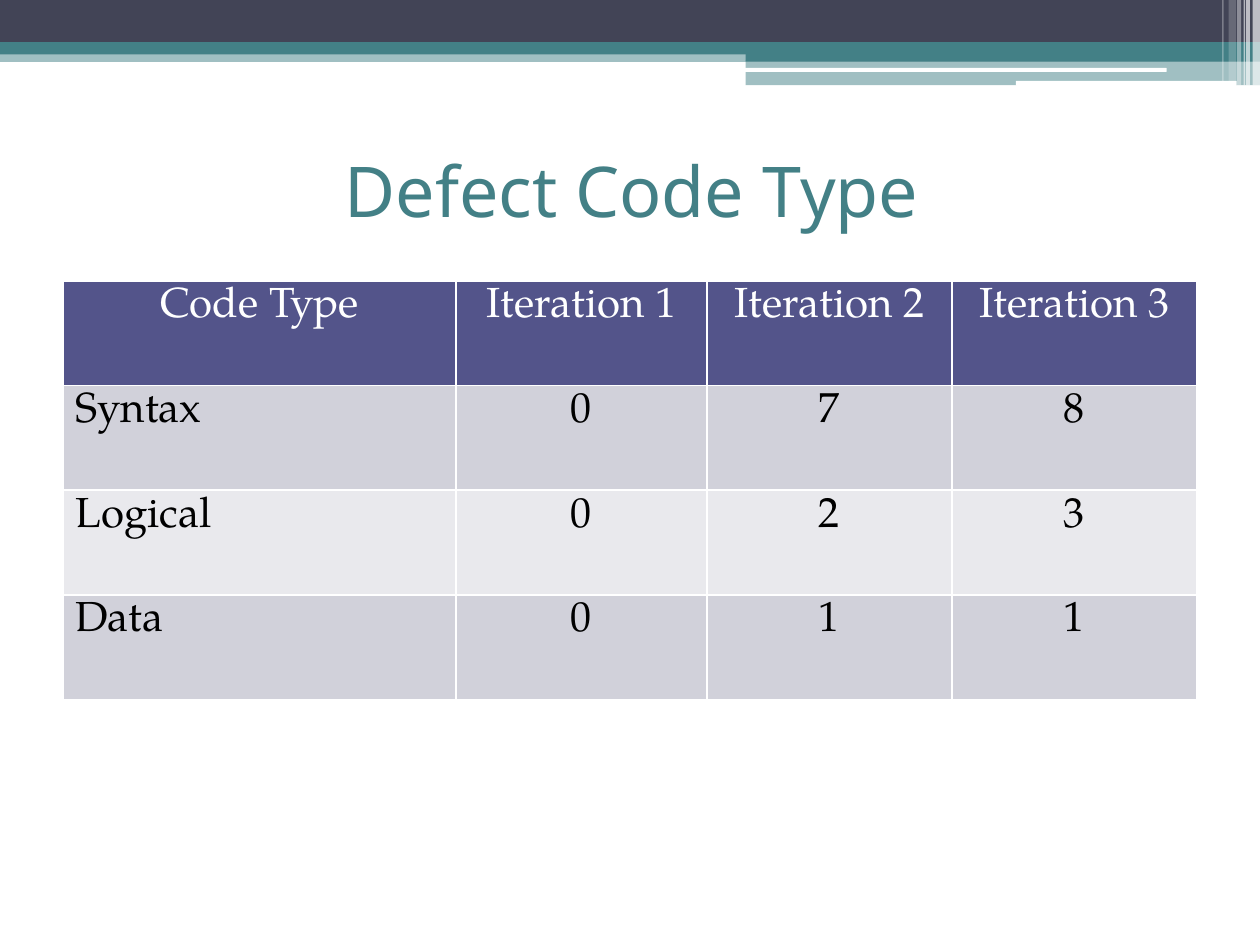
from lxml.etree import SubElement
from pptx import Presentation
from pptx.dml.color import RGBColor as RGB
from pptx.enum.shapes import MSO_SHAPE as Shape
from pptx.enum.text import MSO_ANCHOR as Anchor, PP_ALIGN as Align
from pptx.oxml.ns import qn
from pptx.util import Cm, Pt

TITLE = "Defect Code Type"
DEFECTS = [
    ("Code Type", "Iteration 1", "Iteration 2", "Iteration 3"),
    ("Syntax", "0", "7", "8"),
    ("Logical", "0", "2", "3"),
    ("Data", "0", "1", "1"),
]
COLORS = {
    "slate": "424456", "teal": "438086", "white": "FFFFFF", "black": "000000",
    "header": "53548A", "odd": "D1D1DA", "even": "E9E9ED",
}
TITLE_FONT, TABLE_FONT = "Noto Sans", "TeX Gyre Pagella"

WIDTH, HEIGHT = 25.4, 19.05
STEP = 15.03  # where the banner becomes deeper
COLUMN_WIDTHS = (7.92, 5.06, 4.94, 4.94)
ROW_HEIGHT = 2.11

# left, top, width, height (cm), colour, opacity %
BANDS = [
    (0, 1.02, WIDTH, 0.23, "teal", 50),
    (0, 0, WIDTH, 0.86, "slate", 100),
    (0, 0.85, WIDTH, 0.25, "teal", 100),
    (STEP, 0.99, WIDTH - STEP, 0.25, "teal", 100),
    (STEP, 1.22, WIDTH - STEP, 0.5, "teal", 50),
]
HIGHLIGHTS = [
    (15.01, 1.37, 8.51, 0.08, "white", 100),
    (20.48, 1.63, 4.45, 0.1, "white", 100),
]
# left, width, height (cm), opacity %
STRIPES = [
    (25.25, 0.15, 1.73, 65), (25.12, 0.08, 1.73, 65), (25.07, 0.03, 1.73, 60),
    (24.94, 0.08, 1.73, 40), (24.77, 0.15, 1.63, 20), (24.64, 0.03, 1.63, 30),
]


def color(name):
    return RGB.from_string(COLORS[name])


def add_band(slide, kind, left, top, width, height, fill, opacity):
    band = slide.shapes.add_shape(kind, Cm(left), Cm(top), Cm(width), Cm(height))
    band.shadow.inherit = False
    band.line.fill.background()
    band.fill.solid()
    band.fill.fore_color.rgb = color(fill)
    if opacity < 100:
        fill_color = band.fill._xPr.find(".//" + qn("a:srgbClr"))
        SubElement(fill_color, qn("a:alpha"), val=str(opacity * 1000))


def add_banner(slide):
    for band in BANDS:
        add_band(slide, Shape.RECTANGLE, *band)
    for highlight in HIGHLIGHTS:
        add_band(slide, Shape.ROUNDED_RECTANGLE, *highlight)
    for left, width, height, opacity in STRIPES:
        add_band(slide, Shape.RECTANGLE, left, 0, width, height, "white", opacity)


def format_title(title):
    title.left, title.top, title.width, title.height = Cm(1.3), Cm(2.33), Cm(22.86), Cm(2.97)
    frame = title.text_frame
    frame.text = TITLE
    frame.vertical_anchor = Anchor.MIDDLE
    heading = frame.paragraphs[0]
    heading.alignment = Align.CENTER
    heading.font.name, heading.font.size = TITLE_FONT, Pt(40)
    heading.font.color.rgb = color("teal")


def set_borders(cell):
    properties = cell._tc.get_or_add_tcPr()
    for position, side in enumerate(("lnL", "lnR", "lnT", "lnB")):
        border = SubElement(properties, qn("a:" + side), w=str(Pt(1)))
        SubElement(SubElement(border, qn("a:solidFill")), qn("a:srgbClr"), val=COLORS["white"])
        properties.insert(position, border)  # borders precede the fill


def fill_cell(cell, text, row, column):
    header = row == 0
    cell.fill.solid()
    cell.fill.fore_color.rgb = color("header" if header else "odd" if row % 2 else "even")
    cell.margin_left = cell.margin_right = Cm(0.25)
    cell.margin_top = cell.margin_bottom = Cm(0.13)
    cell.vertical_anchor = Anchor.TOP
    cell.text = text
    entry = cell.text_frame.paragraphs[0]
    entry.alignment = Align.CENTER if header or column else Align.LEFT
    entry.font.name, entry.font.size, entry.font.bold = TABLE_FONT, Pt(24), False
    entry.font.color.rgb = color("white" if header else "black")
    set_borders(cell)


def add_defect_table(slide):
    table = slide.shapes.add_table(
        len(DEFECTS), len(COLUMN_WIDTHS), Cm(1.27), Cm(5.66),
        Cm(sum(COLUMN_WIDTHS)), Cm(ROW_HEIGHT * len(DEFECTS))).table
    for column, width in zip(table.columns, COLUMN_WIDTHS):
        column.width = Cm(width)
    for row, texts in enumerate(DEFECTS):
        table.rows[row].height = Cm(ROW_HEIGHT)
        for column, text in enumerate(texts):
            fill_cell(table.cell(row, column), text, row, column)


def main():
    deck = Presentation()
    deck.slide_width, deck.slide_height = Cm(WIDTH), Cm(HEIGHT)
    slide = deck.slides.add_slide(deck.slide_layouts[5])  # title only
    add_banner(slide)
    format_title(slide.shapes.title)
    add_defect_table(slide)
    deck.save("out.pptx")


if __name__ == "__main__":
    main()
